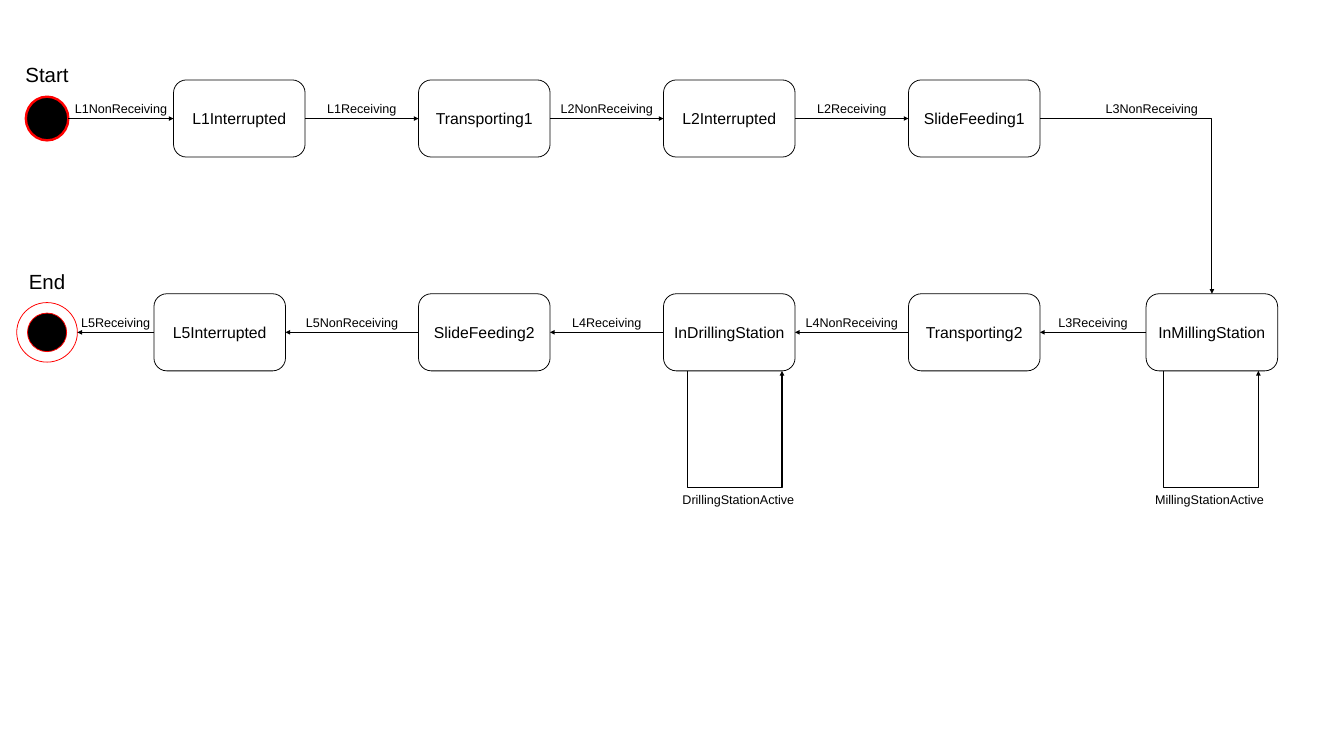
"""Build a state diagram of a conveyor line running from Start to End through nine states."""
import pptx
import pptx.dml.color
import pptx.enum.shapes
import pptx.enum.text
import pptx.oxml.ns
import pptx.util
from lxml import etree

WIDTH, HEIGHT = 23.7, 13.33
COLORS = {"ink": "000000", "ring": "FF0000"}
FONT = "Arial"
SIZES = {"terminal": 26, "state": 20, "event": 16}

ROWS = {"top": 2.09, "bottom": 5.86}
FIRST_COLUMN, COLUMN_STEP = 4.22, 4.32
BOX_WIDTH, BOX_HEIGHT = 2.32, 1.36
TERMINAL_X = 0.83
LOOP_DEPTH, LOOP_WIDTH = 2.06, 1.67

STATES = {
    "L1Interrupted": (0, "top"),
    "Transporting1": (1, "top"),
    "L2Interrupted": (2, "top"),
    "SlideFeeding1": (3, "top"),
    "InMillingStation": (3.97, "bottom"),
    "Transporting2": (3, "bottom"),
    "InDrillingStation": (2, "bottom"),
    "SlideFeeding2": (1, "bottom"),
    "L5Interrupted": (-0.08, "bottom"),
}
TERMINALS = [
    ("Start", "top", 0.78, [(0.75, 0.77, "ink", 3)]),
    ("End", "bottom", 0.9, [(1.07, 1.05, None, 1), (0.69, 0.68, "ink", 1)]),
]
TRANSITIONS = [
    ("Start", "L1Interrupted", "L1NonReceiving"),
    ("L1Interrupted", "Transporting1", "L1Receiving"),
    ("Transporting1", "L2Interrupted", "L2NonReceiving"),
    ("L2Interrupted", "SlideFeeding1", "L2Receiving"),
    ("SlideFeeding1", "InMillingStation", "L3NonReceiving"),
    ("InMillingStation", "Transporting2", "L3Receiving"),
    ("Transporting2", "InDrillingStation", "L4NonReceiving"),
    ("InDrillingStation", "SlideFeeding2", "L4Receiving"),
    ("SlideFeeding2", "L5Interrupted", "L5NonReceiving"),
    ("L5Interrupted", "End", "L5Receiving"),
]
LOOPS = {
    "InDrillingStation": ("DrillingStationActive", -0.74, 0.16),
    "InMillingStation": ("MillingStationActive", -0.85, -0.04),
}

inches = pptx.util.Inches
SHAPES = pptx.enum.shapes.MSO_SHAPE
CONNECTORS = pptx.enum.shapes.MSO_CONNECTOR
TOP, LEFT, RIGHT = 0, 1, 3


def color(name):
    return pptx.dml.color.RGBColor.from_string(COLORS[name])


def set_attributes(target, values):
    for name, value in values.items():
        setattr(target, name, value)


def style_line(shape, name, points, arrow=False):
    shape.line.color.rgb = color(name)
    shape.line.width = pptx.util.Pt(points)
    if arrow:
        line = shape.line._get_or_add_ln()
        etree.SubElement(line, pptx.oxml.ns.qn("a:tailEnd"), type="triangle")


def write(shape, text, size):
    frame = shape.text_frame
    set_attributes(frame, {
        "word_wrap": False,
        "vertical_anchor": pptx.enum.text.MSO_ANCHOR.MIDDLE,
        "margin_left": 0,
        "margin_right": 0,
    })
    paragraph = frame.paragraphs[0]
    paragraph.alignment = pptx.enum.text.PP_ALIGN.CENTER
    run = paragraph.add_run()
    run.text = text
    set_attributes(run.font, {"name": FONT, "size": pptx.util.Pt(SIZES[size])})
    run.font.color.rgb = color("ink")


def add_label(slide, text, size, center_x, center_y, width, height):
    box = slide.shapes.add_textbox(
        inches(center_x - width / 2), inches(center_y - height / 2), inches(width), inches(height))
    write(box, text, size)


def add_outline(slide, preset, center_x, center_y, width, height, fill, line, points):
    shape = slide.shapes.add_shape(
        preset, inches(center_x - width / 2), inches(center_y - height / 2), inches(width), inches(height))
    shape.shadow.inherit = False
    if fill:
        shape.fill.solid()
        shape.fill.fore_color.rgb = color(fill)
    else:
        shape.fill.background()
    style_line(shape, line, points)
    return shape


def state_center(name):
    column, row = STATES[name]
    return FIRST_COLUMN + column * COLUMN_STEP, ROWS[row]


def add_transition(slide, nodes, source, target, event):
    start_x, start_y, start_half = nodes[source][1:]
    end_x, end_y, end_half = nodes[target][1:]
    turns = start_y != end_y
    direction = 1 if end_x > start_x else -1
    from_x = start_x + direction * start_half
    to_x = end_x if turns else end_x - direction * end_half
    to_y = end_y - BOX_HEIGHT / 2 if turns else end_y
    kind = CONNECTORS.ELBOW if turns else CONNECTORS.STRAIGHT
    arrow = slide.shapes.add_connector(
        kind, inches(from_x), inches(start_y), inches(to_x), inches(to_y))
    exit_side, entry_side = (RIGHT, LEFT) if direction > 0 else (LEFT, RIGHT)
    if source in STATES:
        arrow.begin_connect(nodes[source][0], exit_side)
    if target in STATES:
        arrow.end_connect(nodes[target][0], TOP if turns else entry_side)
    style_line(arrow, "ink", 1.5, arrow=True)
    properties = arrow._element.spPr
    etree.SubElement(properties, pptx.oxml.ns.qn("a:effectLst"))
    if turns:
        properties.find(pptx.oxml.ns.qn("a:prstGeom")).set("prst", "bentConnector2")
    share = 0.65 if turns else 0.5
    add_label(slide, event, "event", from_x + share * (to_x - from_x), start_y - 0.18, 1.84, 0.37)


def add_loop(slide, state, event, offset, shift):
    center_x, center_y = state_center(state)
    top = center_y + BOX_HEIGHT / 2
    bottom = top + LOOP_DEPTH
    left = center_x + offset
    right = left + LOOP_WIDTH
    corners = [(left, bottom), (right, bottom), (right, top)]
    builder = slide.shapes.build_freeform(inches(left), inches(top))
    builder.add_line_segments([(inches(x), inches(y)) for x, y in corners], close=False)
    loop = builder.convert_to_shape()
    loop.shadow.inherit = False
    loop.fill.background()
    style_line(loop, "ink", 1.5, arrow=True)
    add_label(slide, event, "event", center_x + shift, bottom + 0.2, 2.4, 0.37)


def main():
    presentation = pptx.Presentation()
    set_attributes(presentation, {"slide_width": inches(WIDTH), "slide_height": inches(HEIGHT)})
    slide = presentation.slides.add_slide(presentation.slide_layouts[6])

    nodes = {}
    for name in STATES:
        x, y = state_center(name)
        box = add_outline(
            slide, SHAPES.ROUNDED_RECTANGLE, x, y, BOX_WIDTH, BOX_HEIGHT, None, "ink", 1)
        write(box, name, "state")
        nodes[name] = (box, x, y, BOX_WIDTH / 2)
    for name, row, rise, circles in TERMINALS:
        y = ROWS[row]
        for width, height, fill, points in circles:
            add_outline(slide, SHAPES.OVAL, TERMINAL_X, y, width, height, fill, "ring", points)
        nodes[name] = (None, TERMINAL_X, y, circles[0][0] / 2)
        add_label(slide, name, "terminal", TERMINAL_X, y - rise, 0.97, 0.54)

    for source, target, event in TRANSITIONS:
        add_transition(slide, nodes, source, target, event)
    for state, (event, offset, shift) in LOOPS.items():
        add_loop(slide, state, event, offset, shift)

    presentation.save("out.pptx")


if __name__ == "__main__":
    main()
